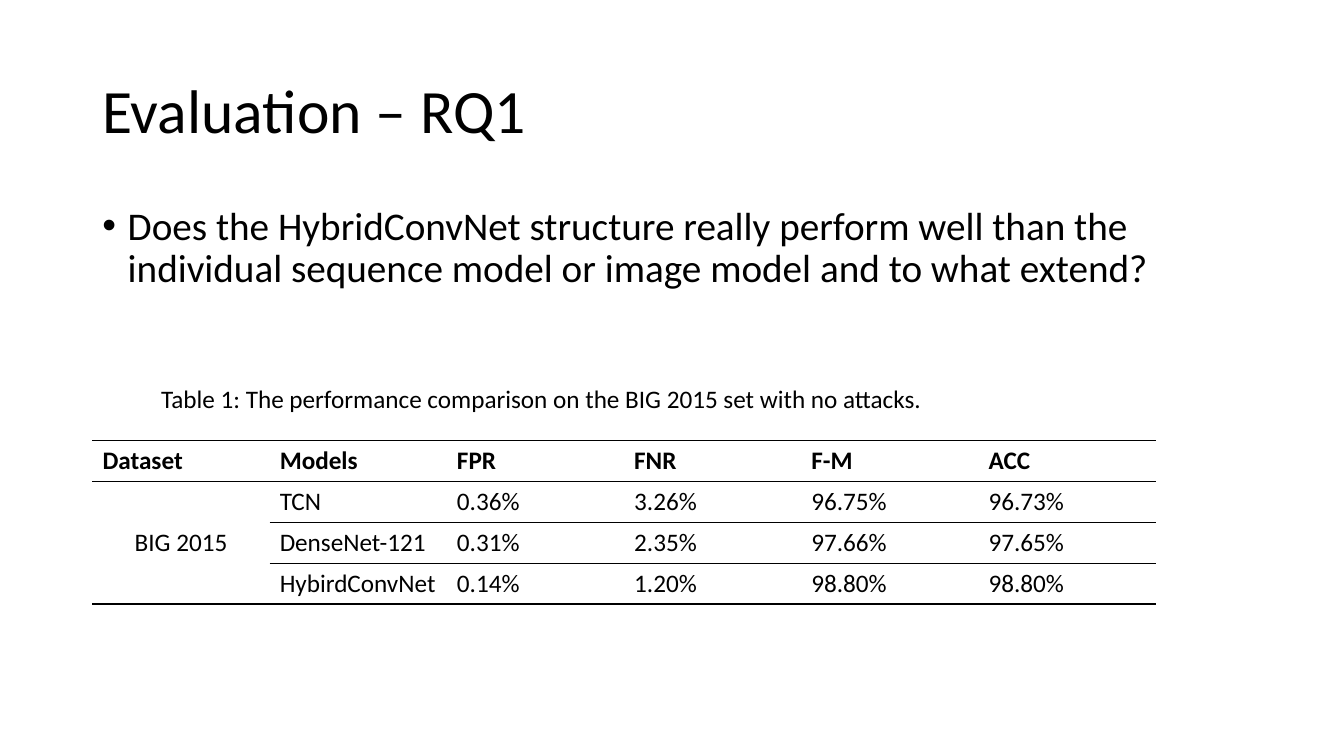
from lxml import etree
from pptx import Presentation
from pptx.dml.color import RGBColor
from pptx.enum import text
from pptx.oxml import ns
from pptx.util import Cm, Pt

INK = "000000"


def write(frame, words, size, bold=False):
    """Put one run into the first paragraph and return that paragraph."""
    frame.word_wrap = True
    para = frame.paragraphs[0]
    run = para.add_run()
    run.text = words
    run.font.name = "Calibri"
    run.font.size = Pt(size)
    run.font.bold = bold
    run.font.color.rgb = RGBColor.from_string(INK)
    return para


def rule(cell, side, width):
    """Draw one border of a cell; side is lnT or lnB, width in points."""
    props = cell._tc.get_or_add_tcPr()
    line = etree.Element(ns.qn("a:" + side), w=str(Pt(width)))
    fill = etree.SubElement(line, ns.qn("a:solidFill"))
    etree.SubElement(fill, ns.qn("a:srgbClr"), val=INK)
    props.insert(len(props) - 1, line)  # borders come before the fill


deck = Presentation()
deck.slide_width, deck.slide_height = Cm(33.87), Cm(19.05)
slide = deck.slides.add_slide(deck.slide_layouts[6])

# Title, question and caption
title = slide.shapes.add_textbox(Cm(2.33), Cm(1.01), Cm(29.21), Cm(3.68)).text_frame
title.vertical_anchor = text.MSO_ANCHOR.MIDDLE
write(title, "Evaluation – RQ1", 44).line_spacing = 0.9

body = slide.shapes.add_textbox(Cm(2.33), Cm(5.07), Cm(29.21), Cm(12.09)).text_frame
para = write(body, "Does the HybridConvNet structure really perform well than the "
             "individual sequence model or image model and to what extend?", 28)
para.line_spacing = 0.9
para.space_before = Pt(10)
props = para._p.get_or_add_pPr()
props.set("marL", str(Cm(0.64)))
props.set("indent", str(-Cm(0.64)))
etree.SubElement(props, ns.qn("a:buFont"), typeface="Arial")
etree.SubElement(props, ns.qn("a:buChar"), char="•")

note = slide.shapes.add_textbox(Cm(3.81), Cm(9.53), Cm(24.82), Cm(1.03)).text_frame
write(note, "Table 1: The performance comparison on the BIG 2015 set with no attacks.", 18)

# Results table
rows = [
    ["Dataset", "Models", "FPR", "FNR", "F-M", "ACC"],
    ["BIG 2015", "TCN", "0.36%", "3.26%", "96.75%", "96.73%"],
    ["", "DenseNet-121", "0.31%", "2.35%", "97.66%", "97.65%"],
    ["", "HybirdConvNet", "0.14%", "1.20%", "98.80%", "98.80%"],
]
last = len(rows) - 1
grid = slide.shapes.add_table(len(rows), len(rows[0]), Cm(2.33), Cm(11.1),
                              Cm(26.8), Cm(4.12)).table
grid.first_row = grid.horz_banding = False
plain = "{2D5ABB26-0587-4C30-8999-92F81FD0307C}"
grid._tbl.tblPr.find(ns.qn("a:tableStyleId")).text = plain

for r, row in enumerate(rows):
    for c, words in enumerate(row):
        cell = grid.cell(r, c)
        cell.fill.background()
        if words:
            write(cell.text_frame, words, 18, bold=r == 0)
        if c or r < 2:
            rule(cell, "lnT", 0.5 if r else 1)
        if c or r in (0, last):
            rule(cell, "lnB", 1 if r == last else 0.5)

group = grid.cell(1, 0)
group.merge(grid.cell(last, 0))
group.vertical_anchor = text.MSO_ANCHOR.MIDDLE
group.text_frame.paragraphs[0].alignment = text.PP_ALIGN.CENTER
rule(group, "lnB", 1)

deck.save("out.pptx")
